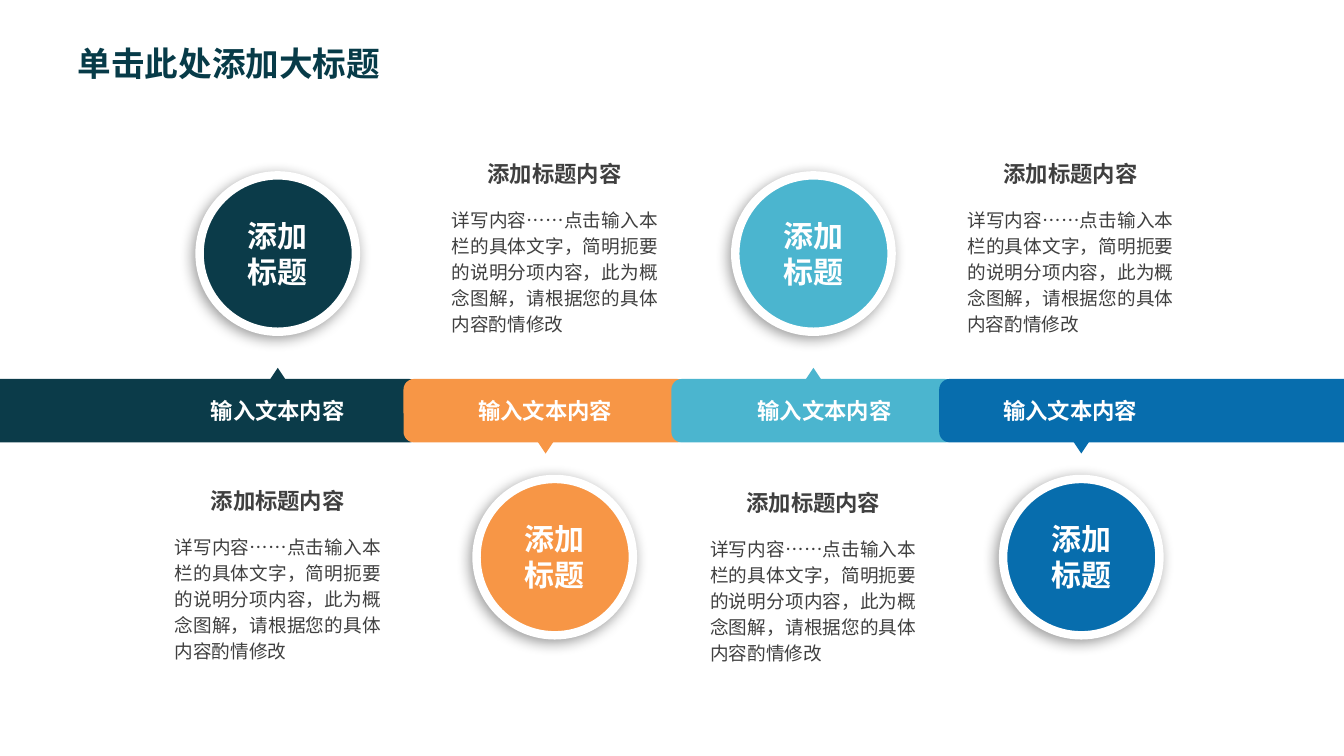
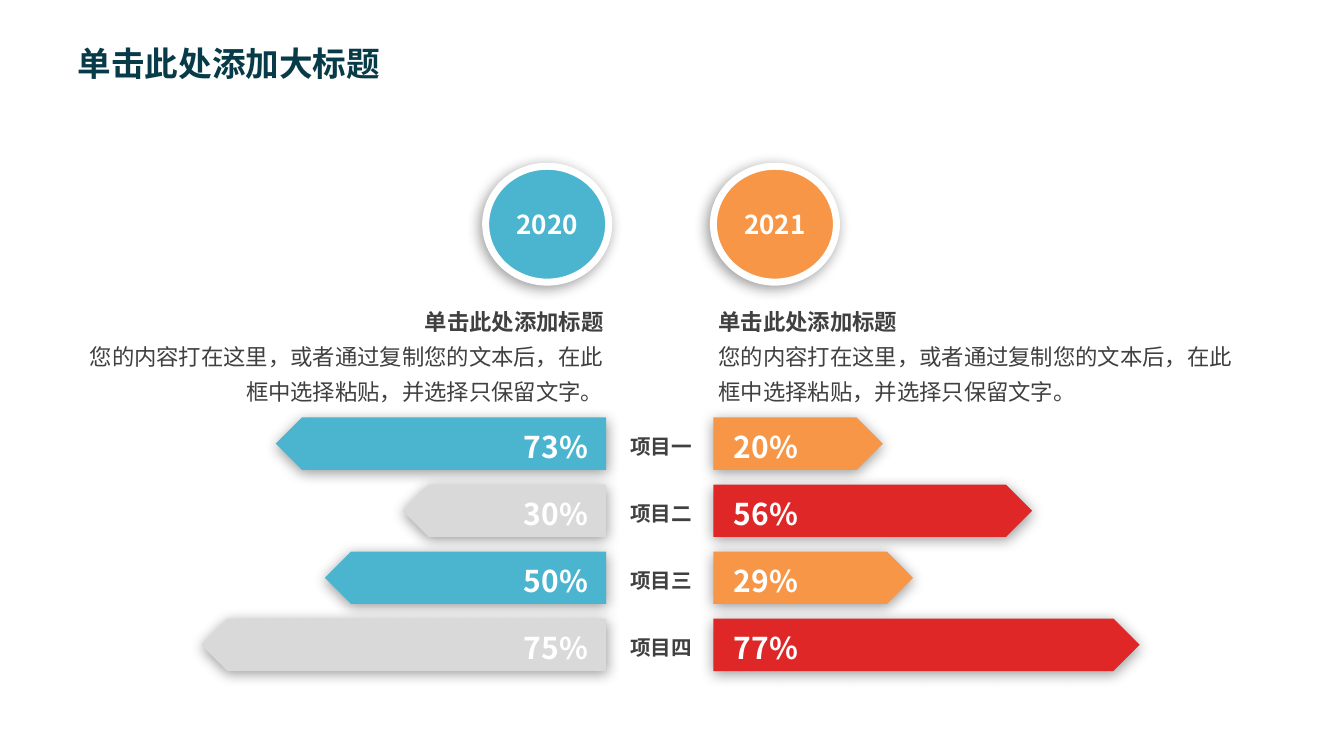
from lxml import etree
from pptx import Presentation
from pptx.dml.color import RGBColor
from pptx.enum.shapes import MSO_SHAPE as SHAPE
from pptx.enum.text import MSO_ANCHOR as ANCHOR, PP_ALIGN as ALIGN
from pptx.oxml.ns import qn
from pptx.util import Cm, Pt

FONT = "Noto Sans CJK SC"
TITLE = RGBColor(0x07, 0x3B, 0x48)
NAVY = RGBColor(0x0B, 0x3B, 0x49)
ORANGE = RGBColor(0xF7, 0x96, 0x46)
TEAL = RGBColor(0x4B, 0xB5, 0xCF)
BLUE = RGBColor(0x07, 0x6D, 0xAD)
RED = RGBColor(0xDF, 0x27, 0x27)
SILVER = RGBColor(0xD9, 0xD9, 0xD9)
GREY = RGBColor(0x40, 0x40, 0x40)
WHITE = RGBColor(0xFF, 0xFF, 0xFF)

CIRCLE_SHADOW = (3, 135)
BAR_SHADOW = (2, 90)


def add_shape(s, kind, box, color, line=0, shadow=None, flip=None):
    sp = s.shapes.add_shape(kind, *map(Cm, box))
    sp.fill.solid()
    sp.fill.fore_color.rgb = color
    if line:
        sp.line.color.rgb = WHITE
        sp.line.width = Pt(line)
    else:
        sp.line.fill.background()
    sp.shadow.inherit = False
    if shadow:
        distance, angle = shadow
        effects = sp.element.spPr.find(qn("a:effectLst"))
        outer = etree.SubElement(
            effects, qn("a:outerShdw"), blurRad=str(Pt(10)),
            dist=str(Pt(distance)), dir=str(angle * 60000),
            algn="ctr", rotWithShape="0")
        tone = etree.SubElement(outer, qn("a:srgbClr"), val="000000")
        etree.SubElement(tone, qn("a:alpha"), val="40000")
    if flip:
        sp.element.spPr.get_or_add_xfrm().set(flip, "1")
    return sp


def write(sp, paragraphs, size, color, align=ALIGN.CENTER,
          margins=(0, 0, 0, 0), spacing=None):
    tf = sp.text_frame
    tf.word_wrap = True
    tf.vertical_anchor = ANCHOR.MIDDLE
    (tf.margin_left, tf.margin_top,
     tf.margin_right, tf.margin_bottom) = map(Cm, margins)
    for i, (text, bold) in enumerate(paragraphs):
        p = tf.add_paragraph() if i else tf.paragraphs[0]
        p.alignment = align
        if spacing:
            p.line_spacing = spacing
        r = p.add_run()
        r.text = text
        r.font.name = FONT
        r.font.size = Pt(size)
        r.font.bold = bold
        r.font.color.rgb = color
        etree.SubElement(r.font._element, qn("a:ea"), typeface=FONT)


prs = Presentation()
prs.slide_width, prs.slide_height = Cm(33.87), Cm(19.05)
timeline, comparison = [prs.slides.add_slide(prs.slide_layouts[6]) for _ in range(2)]

for s in (timeline, comparison):
    sp = s.shapes.add_textbox(Cm(1.68), Cm(0.61), Cm(23.67), Cm(1.96))
    write(sp, [("单击此处添加大标题", True)], 24, TITLE, ALIGN.LEFT, (0.28, 0.1, 0.2, 0.1))

s = timeline
BODY = "详写内容……点击输入本栏的具体文字，简明扼要的说明分项内容，此为概念图解，请根据您的具体内容酌情修改"
DIAMETER = 3.94
steps = [
    (NAVY, -0.41, 10.58, 7, 7, 7, 12.27),
    (ORANGE, 10.17, 17.33, 13.98, 13.74, 13.98, 4.04),
    (TEAL, 16.92, 24.08, 20.5, 20.78, 20.5, 12.32),
    (BLUE, 23.67, 34.27, 27.25, 26.97, 26.98, 4.04),
]
for i, (color, left, right, circle_x, band_x, text_x, text_y) in enumerate(steps):
    up = i % 2 == 0
    flip = None if up else "flipV"
    pointer_x = 7 + 6.75 * i
    circle_y = 4.42 if up else 12.07
    add_shape(s, SHAPE.ROUNDED_RECTANGLE, (left, 9.55, right - left, 1.6), color, flip=flip)
    add_shape(s, SHAPE.ISOSCELES_TRIANGLE,
              (pointer_x - 0.24, 9.27 if up else 11.07, 0.48, 0.36), color, flip=flip)
    add_shape(s, SHAPE.OVAL, (circle_x - DIAMETER / 2, circle_y, DIAMETER, DIAMETER),
              color, 6, CIRCLE_SHADOW)
    for center, top, width, height, text, size, tone in (
        (circle_x, circle_y + 1.05, 2.08, 1.83, "添加标题", 21.4, WHITE),
        (band_x, 10.01, 4.42, 0.69, "输入文本内容", 16, WHITE),
        (text_x, text_y, 4.42, 0.69, "添加标题内容", 16, GREY),
    ):
        sp = s.shapes.add_textbox(Cm(center - width / 2), Cm(top), Cm(width), Cm(height))
        write(sp, [(text, True)], size, tone)
    sp = s.shapes.add_textbox(Cm(text_x - 2.6), Cm(text_y + 1.09), Cm(5.2), Cm(3.38))
    write(sp, [(BODY, False)], 13.3, GREY, ALIGN.JUSTIFY, spacing=Pt(18.6))

s = comparison
LEFT_END, RIGHT_START = 15.28, 17.98
BAR_HEIGHT = 1.32
rows = [
    ("项目一", "73%", 8.33, TEAL, "20%", 4.27, ORANGE),
    ("项目二", "30%", 5.13, SILVER, "56%", 8.03, RED),
    ("项目三", "50%", 7.09, TEAL, "29%", 5.03, ORANGE),
    ("项目四", "75%", 10.21, SILVER, "77%", 10.74, RED),
]
for i, (name, old, old_width, old_color, new, new_width, new_color) in enumerate(rows):
    y = 10.52 + 1.69 * i
    add_shape(s, SHAPE.PENTAGON, (LEFT_END - old_width, y, old_width, BAR_HEIGHT),
              old_color, shadow=BAR_SHADOW, flip="flipH")
    add_shape(s, SHAPE.PENTAGON, (RIGHT_START, y, new_width, BAR_HEIGHT),
              new_color, shadow=BAR_SHADOW)
    for x, top, height, text, size, tone in (
        (12.95, y + 0.14, 1.17, old, 21.4, WHITE),
        (18.24, y + 0.14, 1.17, new, 21.4, WHITE),
        (15.6, y + 0.28, 0.89, name, 14.7, GREY),
    ):
        sp = s.shapes.add_textbox(Cm(x), Cm(top), Cm(2.12), Cm(height))
        write(sp, [(text, True)], size, tone)

summary = [
    ("单击此处添加标题", True),
    ("您的内容打在这里，或者通过复制您的文本后，在此框中选择粘贴，并选择只保留文字。", False),
]
for year, color, circle_x, text_x, width, align in (
    ("2020", TEAL, 12.24, 1.88, 13.46, ALIGN.RIGHT),
    ("2021", ORANGE, RIGHT_START, RIGHT_START, 13.77, ALIGN.LEFT),
):
    sp = add_shape(s, SHAPE.OVAL, (circle_x, 4.19, 3.1, 2.92), color, 5, CIRCLE_SHADOW)
    write(sp, [(year, True)], 18.6, WHITE)
    sp = s.shapes.add_textbox(Cm(text_x), Cm(7.49), Cm(width), Cm(2.79))
    write(sp, summary, 16, GREY, align, (0.13, 0.08, 0.13, 0.08), 1.3)

prs.save("out.pptx")
